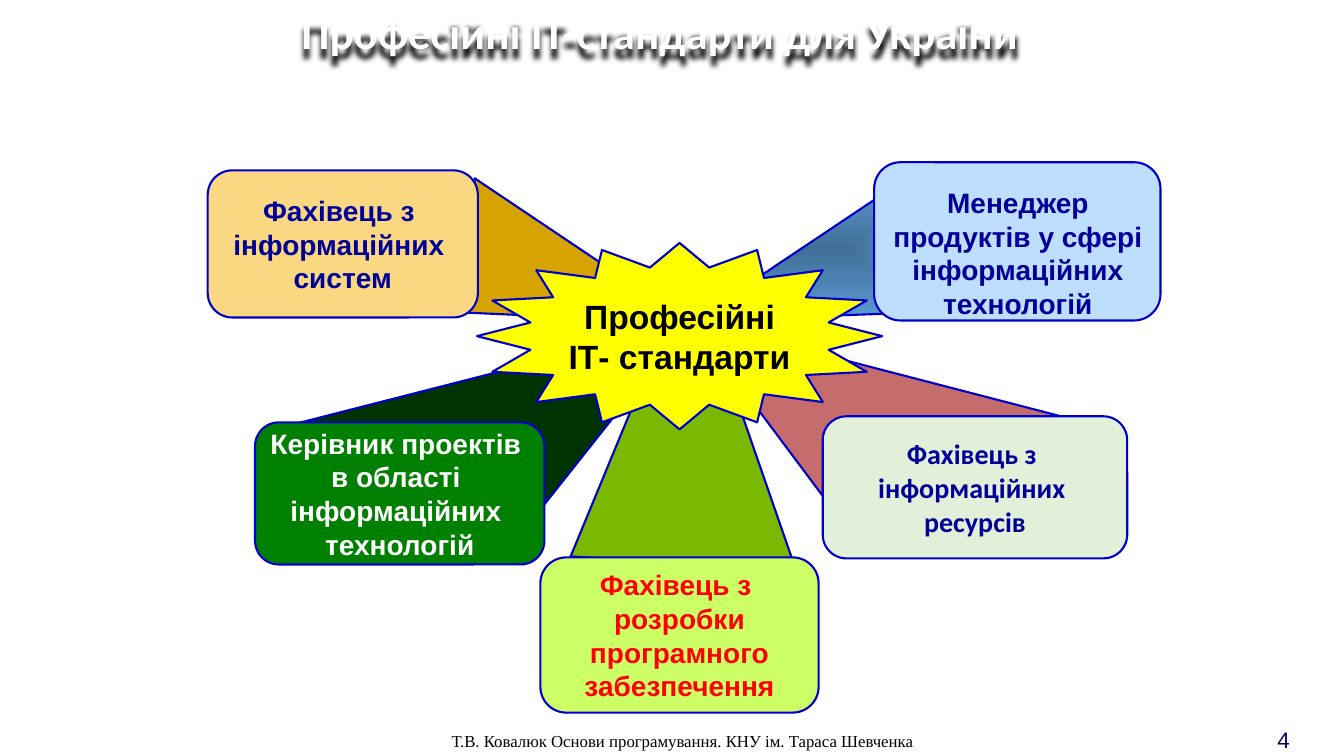
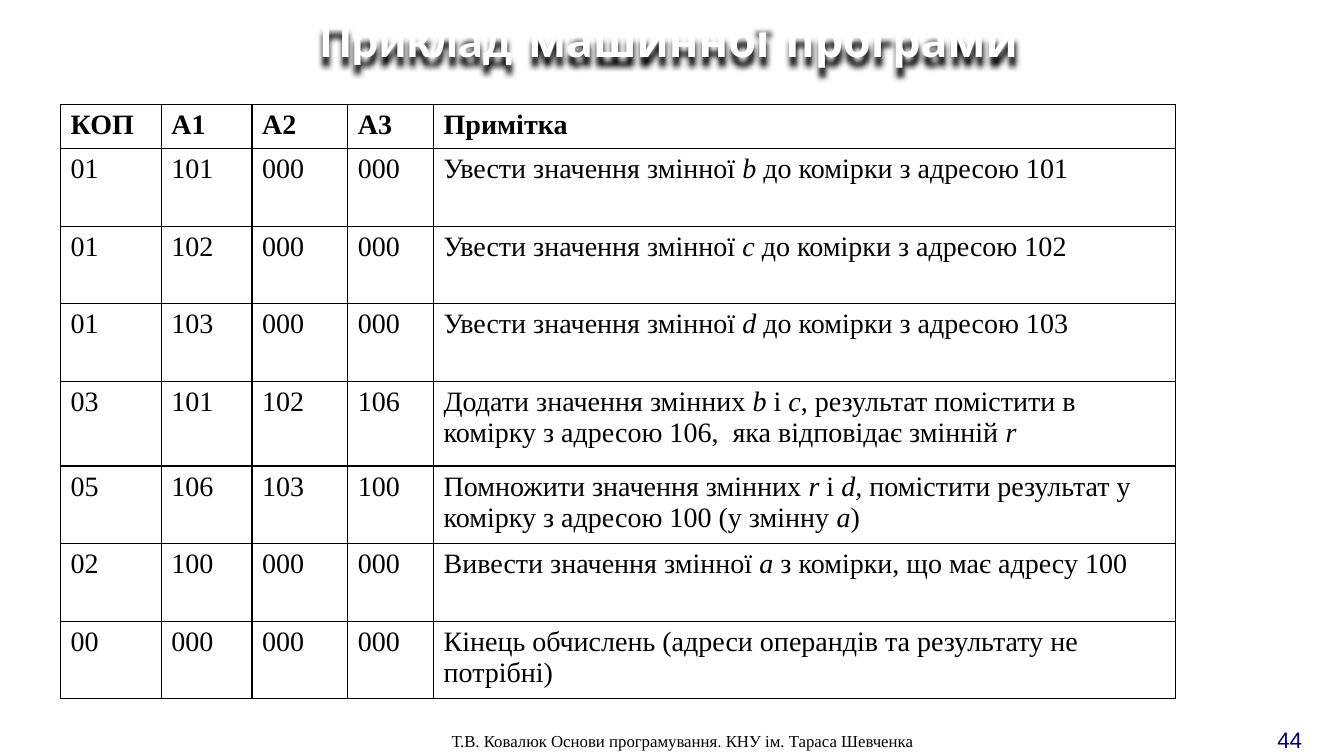
from dataclasses import dataclass

from lxml.etree import SubElement
from pptx import Presentation
from pptx.dml.color import RGBColor
from pptx.enum.shapes import MSO_SHAPE
from pptx.enum.text import MSO_ANCHOR, MSO_AUTO_SIZE, PP_ALIGN
from pptx.oxml.ns import qn
from pptx.slide import Slide
from pptx.util import Inches, Pt

COLORS = {
    "white": "FFFFFF",
    "black": "000000",
    "outline": "0000CC",
    "navy": "000099",
    "number": "000066",
    "red": "FF0000",
    "yellow": "FFFF00",
    "sand": "FAD882",
    "green": "008000",
    "sky": "BDDEFF",
    "mint": "E2F0D9",
    "lime": "CCFF66",
    "olive ray": "7BB800",
    "rose ray": "C56D6D",
    "forest ray": "003300",
    "gold ray": "D6A300",
    "steel": "416F98",
    "blue": "5B9BD5",
}
SERIF = "Times New Roman"
FOOTER = "Т.В. Ковалюк Основи програмування. КНУ ім. Тараса Шевченка"


@dataclass(frozen=True)
class Box:
    left: float
    top: float
    width: float
    height: float

    def emu(self) -> tuple:
        return tuple(Inches(v) for v in (self.left, self.top, self.width, self.height))


@dataclass(frozen=True)
class Style:
    size: float
    color: str
    font: str = "Arial"
    bold: bool = False


@dataclass(frozen=True)
class Ray:
    points: tuple
    fill: str


@dataclass(frozen=True)
class Node:
    box: Box
    fill: str
    lines: tuple
    style: Style
    preset: MSO_SHAPE = MSO_SHAPE.ROUNDED_RECTANGLE
    adj: float = 0.167


LABEL = Style(20, "navy", bold=True)
RAYS = (
    Ray(((6.85, 2.64), (7.9, 5.67), (5.66, 5.52)), "olive ray"),
    Ray(((6.86, 3.18), (10.79, 4.2), (8.28, 5.08)), "rose ray"),
    Ray(((2.91, 4.21), (6.82, 3.21), (5.34, 5.08)), "forest ray"),
    Ray(((6.88, 3.18), (8.99, 1.77), (9.14, 3.1)), "gradient"),
    Ray(((4.58, 3.1), (4.71, 1.77), (6.84, 3.2)), "gold ray"),
)
NODES = (
    Node(Box(2.06, 1.69, 2.68, 1.46), "sand",
         ("Фахівець з ", "інформаційних ", "систем"), LABEL),
    Node(Box(2.53, 4.19, 2.87, 1.41), "green",
         ("Керівник проектів ", "в області ", "інформаційних ", "технологій"),
         Style(20, "white", bold=True)),
    Node(Box(8.67, 1.61, 2.84, 1.57), "sky", (), LABEL),
    Node(Box(8.16, 4.13, 3.02, 1.41), "mint",
         ("Фахівець з ", "інформаційних ", "ресурсів"),
         Style(20, "navy", "Calibri", True)),
    Node(Box(4.73, 2.41, 4.02, 1.85), "yellow",
         ("Професійні", "ІТ- стандарти"), Style(24, "black", bold=True),
         MSO_SHAPE.STAR_16_POINT, 0.375),
    Node(Box(5.36, 5.53, 2.76, 1.54), "lime",
         ("Фахівець з ", "розробки", " програмного ", "забезпечення"),
         Style(20, "red", bold=True)),
)
MANAGER = "Менеджер продуктів у сфері інформаційних технологій"

COLUMNS = (1, 0.9, 0.95, 0.85, 7.36)
ROW_HEIGHTS = (0.43, 0.77, 0.77, 0.77, 0.84, 0.77, 0.77, 0.77)
ROWS = (
    ("КОП", "A1", "А2", "А3", "Примітка"),
    ("01", "101", "000", "000", "Увести значення змінної *b *до комірки з адресою 101"),
    ("01", "102", "000", "000", "Увести значення змінної *c *до комірки з адресою 102"),
    ("01", "103", "000", "000", "Увести значення змінної *d *до комірки з адресою 103"),
    ("03", "101", "102", "106",
     "Додати значення змінних *b* і *c*, результат помістити в комірку "
     "з адресою 106,  яка відповідає змінній* r*"),
    ("05", "106", "103", "100",
     "Помножити значення змінних *r* і *d, *помістити результат у комірку "
     "з адресою 100 (у змінну *а*)"),
    ("02", "100", "000", "000", "Вивести значення змінної *а *з комірки, що має адресу 100"),
    ("00", "000", "000", "000",
     "Кінець обчислень (адреси операндів та результату не потрібні)"),
)


def rgb(name: str) -> RGBColor:
    return RGBColor.from_string(COLORS[name])


def style_run(r, style: Style) -> None:
    r.font.size = Pt(style.size)
    r.font.name = style.font
    r.font.bold = style.bold
    r.font.color.rgb = rgb(style.color)


def write_lines(tf, lines: tuple, style: Style, align: PP_ALIGN) -> None:
    tf.text = "\n".join(lines)
    for p in tf.paragraphs:
        p.alignment = align
        for r in p.runs:
            style_run(r, style)


def add_text(s: Slide, box: Box, text: str, style: Style,
             align: PP_ALIGN = PP_ALIGN.LEFT) -> None:
    tf = s.shapes.add_textbox(*box.emu()).text_frame
    tf.word_wrap = True
    write_lines(tf, (text,), style, align)


def add_title(s: Slide, box: Box, parts: tuple, align: PP_ALIGN, wrap: bool) -> None:
    sp = s.shapes.title
    sp.left, sp.top, sp.width, sp.height = box.emu()
    tf = sp.text_frame
    tf.word_wrap = wrap
    tf.auto_size = MSO_AUTO_SIZE.NONE
    tf.vertical_anchor = MSO_ANCHOR.TOP
    p = tf.paragraphs[0]
    p.alignment = align
    for text, size, font in parts:
        r = p.add_run()
        r.text = text
        style_run(r, Style(size, "white", font, True))
    sp.shadow.inherit = False
    effects = sp.element.spPr.find(qn("a:effectLst"))
    shadow = SubElement(effects, qn("a:outerShdw"), blurRad="50800",
                        dist="76200", dir="5400000", algn="t", rotWithShape="0")
    SubElement(shadow, qn("a:srgbClr"), val=COLORS["black"])


def add_slide(prs: Presentation, number: int, box: Box, parts: tuple,
              align: PP_ALIGN, wrap: bool) -> Slide:
    s = prs.slides.add_slide(prs.slide_layouts[5])
    add_text(s, Box(12.57, 7.15, 0.54, 0.3), str(number), Style(16, "number"))
    add_text(s, Box(4.38, 7.2, 6.72, 0.3), FOOTER, Style(12, "black", SERIF))
    add_title(s, box, parts, align, wrap)
    return s


def outline(sp) -> None:
    sp.shadow.inherit = False
    sp.line.color.rgb = rgb("outline")
    sp.line.width = Pt(1.5)


def fill_from_center(sp) -> None:
    sp.fill.gradient()
    for stop, name, position in zip(sp.fill.gradient_stops, ("steel", "blue"), (0, 1)):
        stop.color.rgb = rgb(name)
        stop.position = position
    grad = sp.element.spPr.find(qn("a:gradFill"))
    grad.remove(grad.find(qn("a:lin")))
    center = SubElement(grad, qn("a:path"), {"path": "rect"})
    grad.find(qn("a:gsLst")).addnext(center)
    SubElement(center, qn("a:fillToRect"), {side: "50000" for side in "ltrb"})


def add_ray(s: Slide, ray: Ray) -> None:
    points = [(Inches(x), Inches(y)) for x, y in ray.points]
    builder = s.shapes.build_freeform(*points[0])
    builder.add_line_segments(points[1:], close=True)
    sp = builder.convert_to_shape()
    outline(sp)
    if ray.fill == "gradient":
        fill_from_center(sp)
    else:
        sp.fill.solid()
        sp.fill.fore_color.rgb = rgb(ray.fill)


def add_node(s: Slide, node: Node) -> None:
    sp = s.shapes.add_shape(node.preset, *node.box.emu())
    sp.adjustments[0] = node.adj
    outline(sp)
    sp.fill.solid()
    sp.fill.fore_color.rgb = rgb(node.fill)
    if node.lines:
        tf = sp.text_frame
        tf.word_wrap = False
        tf.vertical_anchor = MSO_ANCHOR.MIDDLE
        write_lines(tf, node.lines, node.style, PP_ALIGN.CENTER)


def fill_cell(cell, text: str, bold: bool) -> None:
    p = cell.text_frame.paragraphs[0]
    for i, part in enumerate(text.split("*")):
        r = p.add_run()
        r.text = part
        style_run(r, Style(20, "black", SERIF, bold))
        r.font.italic = i % 2 == 1
    tc_pr = cell._tc.get_or_add_tcPr()
    for side in ("lnL", "lnR", "lnT", "lnB"):
        ln = SubElement(tc_pr, qn(f"a:{side}"), w=str(Pt(1)))
        SubElement(SubElement(ln, qn("a:solidFill")), qn("a:srgbClr"), val=COLORS["black"])
    cell.fill.solid()
    cell.fill.fore_color.rgb = rgb("white")


def add_program_table(s: Slide) -> None:
    box = Box(0.6, 1.04, sum(COLUMNS), sum(ROW_HEIGHTS))
    table = s.shapes.add_table(len(ROWS), len(COLUMNS), *box.emu()).table
    table.first_row = table.horz_banding = False
    for column, width in zip(table.columns, COLUMNS):
        column.width = Inches(width)
    for i, (row, height) in enumerate(zip(table.rows, ROW_HEIGHTS)):
        row.height = Inches(height)
        for cell, text in zip(row.cells, ROWS[i]):
            fill_cell(cell, text, bold=i == 0)


def main() -> None:
    prs = Presentation()
    prs.slide_width, prs.slide_height = Inches(13.33), Inches(7.5)

    s = add_slide(prs, 4, Box(2.89, 0, 7.95, 0.64),
                  (("Професійні ІТ-стандарти для України", 32, "Calibri"),),
                  PP_ALIGN.LEFT, False)
    for ray in RAYS:
        add_ray(s, ray)
    for node in NODES:
        add_node(s, node)
    add_text(s, Box(8.67, 1.79, 2.85, 1.45), MANAGER, LABEL, PP_ALIGN.CENTER)

    s = add_slide(prs, 44, Box(2.5, 0.02, 8.27, 0.71),
                  (("Приклад", 36, "Calibri"), (" машинної програми", 32, "Comic Neue")),
                  PP_ALIGN.CENTER, True)
    add_program_table(s)
    prs.save("out.pptx")


if __name__ == "__main__":
    main()
